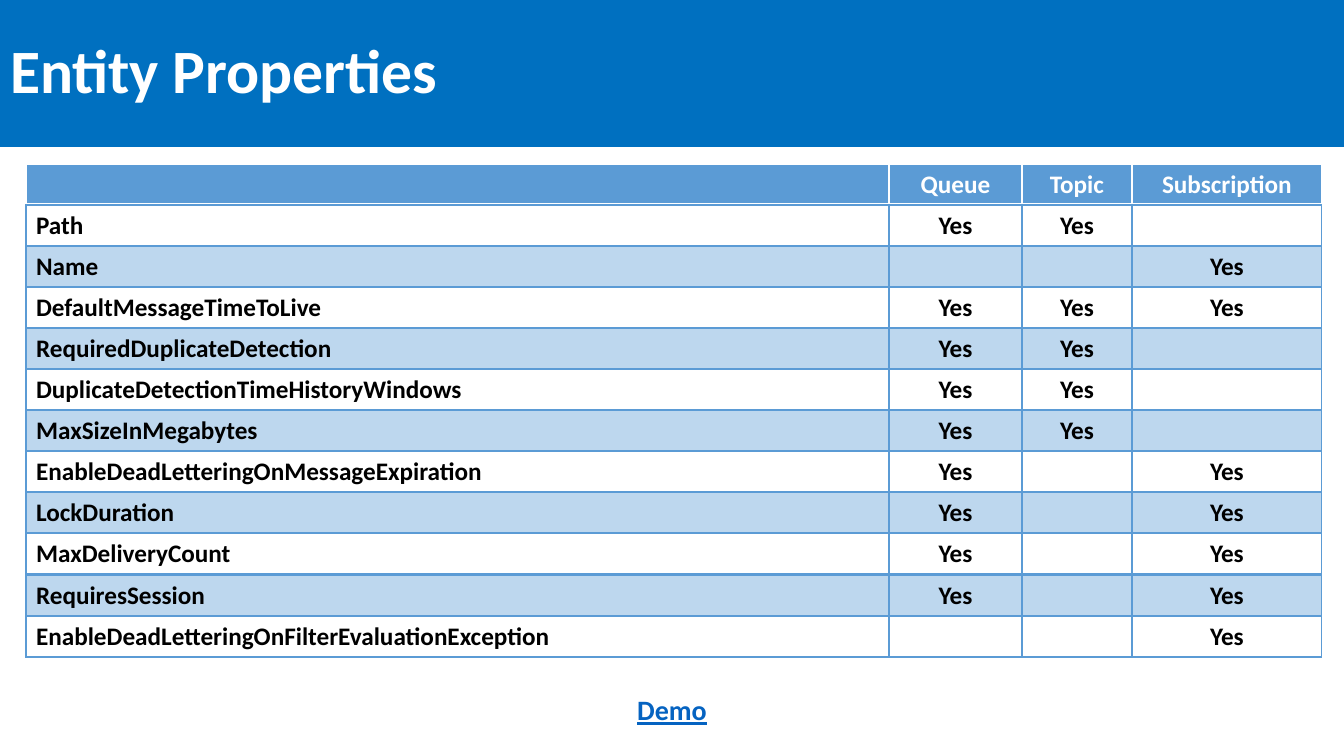
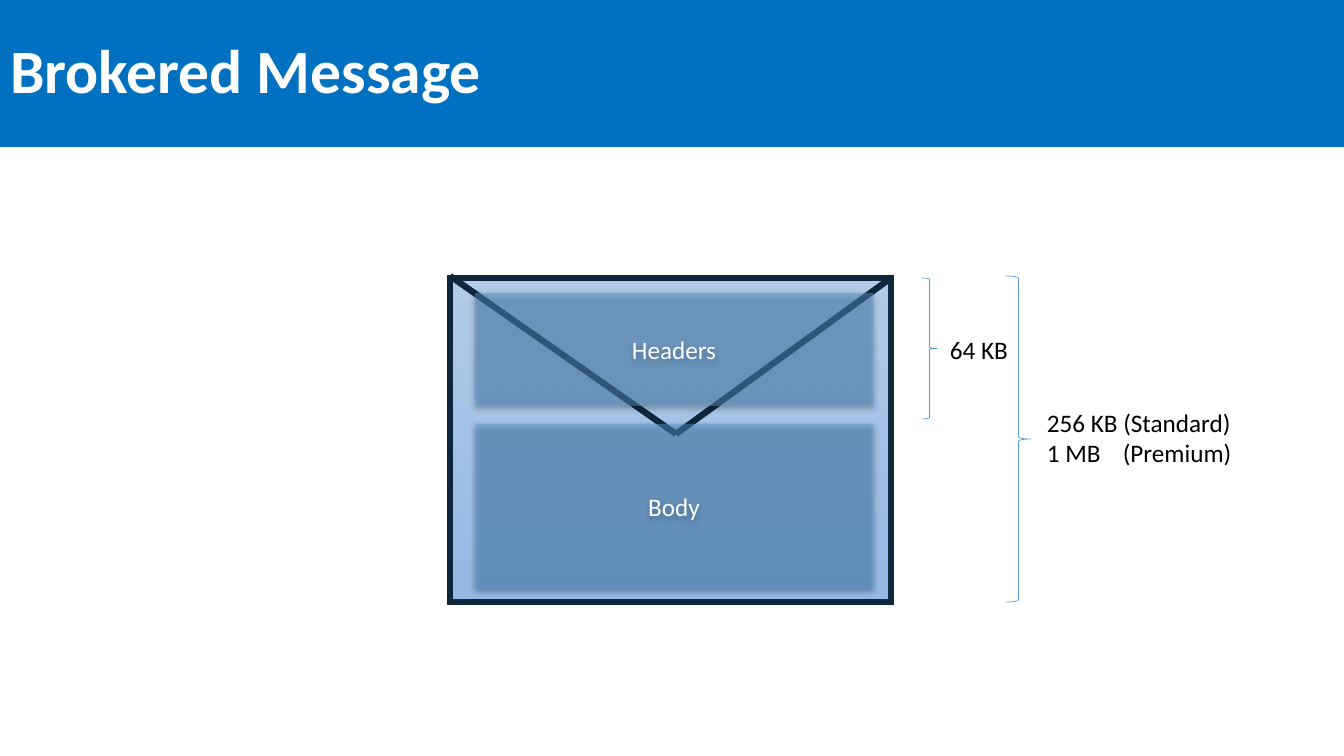
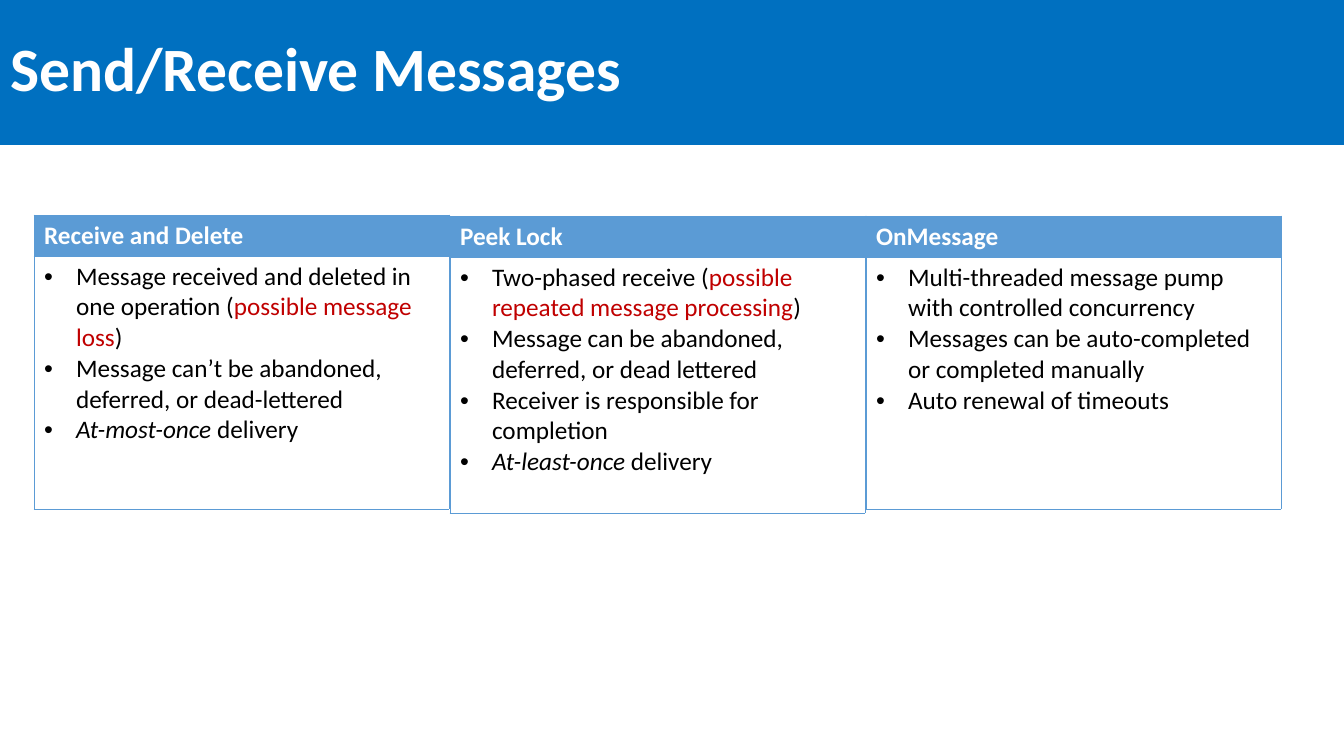
from dataclasses import dataclass
from typing import Any, NamedTuple, Optional, Sequence

from pptx import Presentation
from pptx import util as u
from pptx.dml.color import RGBColor
from pptx.enum import shapes, text
from pptx.oxml import ns, xmlchemy

# Shared look
PX_PER_INCH = 100.8
FONT = "Calibri"
WHITE, BLACK = "FFFFFF", "000000"
BAND, ACCENT, PALE = "0070C0", "5B9BD5", "BDD7EE"
NAVY, RED, LINK = "0F273D", "C00000", "0563C1"
LEFT, CENTER = text.PP_ALIGN.LEFT, text.PP_ALIGN.CENTER
MIDDLE = text.MSO_ANCHOR.MIDDLE


class Area(NamedTuple):
    left: int
    top: int
    width: int
    height: int


@dataclass(frozen=True)
class Span:
    text: str
    color: str = BLACK
    size: int = 18
    bold: bool = False
    italic: bool = False
    underline: bool = False


@dataclass(frozen=True)
class Border:
    color: str
    points: float


class Property(NamedTuple):
    name: str
    queue: bool
    topic: bool
    subscription: bool
    fill: Optional[str]


class Mode(NamedTuple):
    name: str
    top: int
    body_height: int
    points: Sequence[Sequence[Span]]


class Part(NamedTuple):
    name: str
    area: Area


class Brace(NamedTuple):
    area: Area
    label_area: Area
    lines: Sequence[str]


PROPERTIES = [
    Property("Path", True, True, False, None),
    Property("Name", False, False, True, PALE),
    Property("DefaultMessageTimeToLive", True, True, True, WHITE),
    Property("RequiredDuplicateDetection", True, True, False, PALE),
    Property("DuplicateDetectionTimeHistoryWindows", True, True, False, WHITE),
    Property("MaxSizeInMegabytes", True, True, False, PALE),
    Property("EnableDeadLetteringOnMessageExpiration", True, False, True, WHITE),
    Property("LockDuration", True, False, True, PALE),
    Property("MaxDeliveryCount", True, False, True, None),
    Property("RequiresSession", True, False, True, PALE),
    Property("EnableDeadLetteringOnFilterEvaluationException", False, False, True, None),
]

PARTS = [
    Part("Headers", Area(475, 293, 398, 113)),
    Part("Body", Area(475, 424, 398, 165)),
]

BRACES = [
    Brace(Area(1006, 276, 25, 326), Area(1037, 402, 219, 72),
          ["256 KB (Standard)", "1 MB\t(Premium)"]),
    Brace(Area(922, 278, 15, 141), Area(940, 329, 97, 40), ["64 KB"]),
]

MODES = [
    Mode("Receive and Delete", 215, 253, [
        [Span("Message received and deleted in one operation ("),
         Span("possible message loss", RED), Span(")")],
        [Span("Message can’t be abandoned, deferred, or dead-lettered")],
        [Span("At-most-once", italic=True), Span(" delivery")],
    ]),
    Mode("Peek Lock", 216, 256, [
        [Span("Two-phased receive ("),
         Span("possible repeated message processing", RED), Span(")")],
        [Span("Message can be abandoned, deferred, or dead lettered")],
        [Span("Receiver is responsible for completion")],
        [Span("At-least-once", italic=True), Span(" delivery")],
    ]),
    Mode("OnMessage", 216, 252, [
        [Span("Multi-threaded message pump with controlled concurrency")],
        [Span("Messages can be auto-completed or completed manually")],
        [Span("Auto renewal of timeouts")],
    ]),
]


# Helpers
def px(length: int) -> u.Emu:
    return u.Emu(round(length * 914400 / PX_PER_INCH))


def emu(area: Area) -> list[u.Emu]:
    return [px(length) for length in area]


def rgb(color: str) -> RGBColor:
    return RGBColor.from_string(color)


def add_element(parent: Any, tag: str, **attributes: Any) -> Any:
    element = xmlchemy.OxmlElement(tag)
    for name, value in attributes.items():
        element.set(name, str(value))
    parent.append(element)
    return element


def add_color(parent: Any, color: str) -> Any:
    return add_element(parent, "a:srgbClr", val=color)


def write(frame: Any, lines: Sequence[Sequence[Span]], align: Any = LEFT) -> None:
    for index, line in enumerate(lines):
        para = frame.paragraphs[0] if index == 0 else frame.add_paragraph()
        para.alignment = align
        for span in line:
            run = para.add_run()
            run.text = span.text
            font = run.font
            font.name, font.size = FONT, u.Pt(span.size)
            font.bold, font.italic, font.underline = span.bold, span.italic, span.underline
            font.color.rgb = rgb(span.color)


def add_page(deck: Any, title: str, top: int = 0) -> Any:
    page = deck.slides.add_slide(deck.slide_layouts[5])
    box = page.shapes.title
    box.left, box.top, box.width, box.height = emu(Area(0, top, 1344, 147))
    box.fill.solid()
    box.fill.fore_color.rgb = rgb(BAND)
    frame = box.text_frame
    frame.vertical_anchor = MIDDLE
    write(frame, [[Span(title, WHITE, 44, bold=True)]])
    frame.paragraphs[0].line_spacing = 0.9
    return page


def add_label(page: Any, area: Area, lines: Sequence[Sequence[Span]], align: Any = LEFT) -> Any:
    frame = page.shapes.add_textbox(*emu(area)).text_frame
    frame.word_wrap = True
    frame.auto_size = text.MSO_AUTO_SIZE.SHAPE_TO_FIT_TEXT
    write(frame, lines, align)
    return frame


def add_box(page: Any, kind: Any, area: Area) -> Any:
    box = page.shapes.add_shape(kind, *emu(area))
    box.shadow.inherit = False
    return box


def set_line(line: Any, border: Border) -> None:
    line.color.rgb = rgb(border.color)
    line.width = u.Pt(border.points)


def add_line(page: Any, start: tuple[int, int], end: tuple[int, int], border: Border) -> None:
    ends = [px(length) for length in (*start, *end)]
    line = page.shapes.add_connector(shapes.MSO_CONNECTOR.STRAIGHT, *ends)
    set_line(line.line, border)
    add_element(line._element.spPr, "a:effectLst")


def add_grid(page: Any, left: int, top: int, widths: Sequence[int], heights: Sequence[int]) -> Any:
    area = Area(left, top, sum(widths), sum(heights))
    grid = page.shapes.add_table(len(heights), len(widths), *emu(area)).table
    grid.horz_banding = False
    for column, width in zip(grid.columns, widths):
        column.width = px(width)
    for row, height in zip(grid.rows, heights):
        row.height = px(height)
    return grid


def style_cell(cell: Any, fill: Optional[str], sides: Border,
               bottom: Optional[Border] = None) -> None:
    properties = cell._tc.get_or_add_tcPr()
    edges = {"a:lnL": sides, "a:lnR": sides, "a:lnT": sides, "a:lnB": bottom or sides}
    for tag, border in edges.items():
        line = add_element(properties, tag, w=int(u.Pt(border.points)))
        add_color(add_element(line, "a:solidFill"), border.color)
    if fill is None:
        cell.fill.background()
    else:
        cell.fill.solid()
        cell.fill.fore_color.rgb = rgb(fill)


def add_bullet(para: Any, indent: int) -> None:
    properties = para._p.get_or_add_pPr()
    properties.set("marL", str(px(indent)))
    properties.set("indent", str(px(-indent)))
    add_element(properties, "a:buFont", typeface="Arial")
    add_element(properties, "a:buChar", char="•")


# Slides
def add_strip(page: Any, top: int, values: Sequence[str], color: str,
              fill: Optional[str], sides: Border, bottom: Border) -> None:
    """Draw one row of the property list as a table of its own."""
    grid = add_grid(page, 26, top, [863, 133, 110, 190], [41])
    for column, value in enumerate(values):
        cell = grid.cell(0, column)
        style_cell(cell, fill, sides, bottom)
        if value:
            align = CENTER if column else LEFT
            write(cell.text_frame, [[Span(value, color, bold=True)]], align)


def add_properties_page(deck: Any) -> None:
    page = add_page(deck, "Entity Properties")
    top, pitch = 164, 41
    add_strip(page, top, ["", "Queue", "Topic", "Subscription"], WHITE, ACCENT,
              Border(WHITE, 1), Border(WHITE, 3))
    for name, *flags, fill in PROPERTIES:
        top += pitch
        if name == "RequiresSession":  # slightly set apart from the rows above
            top += 1
        values = [name] + ["Yes" if flag else "" for flag in flags]
        add_strip(page, top, values, BLACK, fill, Border(ACCENT, 1), Border(ACCENT, 2))

    demo = Span("Demo", LINK, 20, bold=True, underline=True)
    add_label(page, Area(625, 688, 94, 44), [[demo]], CENTER)


def add_part(page: Any, part: Part) -> None:
    box = add_box(page, shapes.MSO_SHAPE.RECTANGLE, part.area)
    box.fill.solid()
    box.fill.fore_color.rgb = rgb(ACCENT)
    box.line.fill.background()
    properties = box._element.spPr
    # Transparent fill and soft shadow
    fill_color = properties.find(ns.qn("a:solidFill"))[0]
    add_element(fill_color, "a:alpha", val=46000)
    shadow = add_element(properties.find(ns.qn("a:effectLst")), "a:outerShdw",
                         blurRad=int(u.Pt(4.5)), dist=int(u.Pt(1.5)), dir=5400000,
                         algn="ctr", rotWithShape=0)
    add_element(add_color(shadow, BLACK), "a:alpha", val=63000)
    box.text_frame.vertical_anchor = MIDDLE
    write(box.text_frame, [[Span(part.name, WHITE)]], CENTER)


def add_message_page(deck: Any) -> None:
    page = add_page(deck, "Brokered Message")
    # Envelope with its flap
    outline = Border(NAVY, 4.5)
    envelope = add_box(page, shapes.MSO_SHAPE.RECTANGLE, Area(450, 278, 441, 324))
    envelope.fill.gradient()
    envelope.fill.gradient_angle = 270
    for stop, color in zip(envelope.fill.gradient_stops, ("B1CBE9", "93B9E4")):
        stop.color.rgb = rgb(color)
    set_line(envelope.line, outline)
    add_element(envelope._element.spPr.find(ns.qn("a:ln")), "a:miter", lim=800000)
    tip = (676, 434)
    add_line(page, (450, 276), tip, outline)
    add_line(page, tip, (891, 278), outline)
    for part in PARTS:
        add_part(page, part)

    # Size limits
    for brace in BRACES:
        mark = add_box(page, shapes.MSO_SHAPE.RIGHT_BRACE, brace.area)
        mark.fill.background()
        set_line(mark.line, Border(ACCENT, 0.5))
        frame = add_label(page, brace.label_area, [[Span(line)] for line in brace.lines])
        for para, line in zip(frame.paragraphs, brace.lines):
            if "\t" in line:
                stops = add_element(para._p.get_or_add_pPr(), "a:tabLst")
                add_element(stops, "a:tab", pos=px(76), algn="l")


def add_modes_page(deck: Any) -> None:
    page = add_page(deck, "Send/Receive Messages", top=-2)
    pitch, width = 416, 415
    border = Border(ACCENT, 0.5)
    for i, mode in enumerate(MODES):
        grid = add_grid(page, 34 + i * pitch, mode.top, [width], [41, mode.body_height])
        header, body = grid.cell(0, 0), grid.cell(1, 0)
        style_cell(header, ACCENT, border)
        style_cell(body, None, border)
        write(header.text_frame, [[Span(mode.name, WHITE, bold=True)]])
        write(body.text_frame, mode.points)
        for para in body.text_frame.paragraphs:
            add_bullet(para, 32)


def main() -> None:
    deck = Presentation()
    deck.slide_width, deck.slide_height = px(1344), px(756)
    add_properties_page(deck)
    add_message_page(deck)
    add_modes_page(deck)
    deck.save("out.pptx")


if __name__ == "__main__":
    main()
